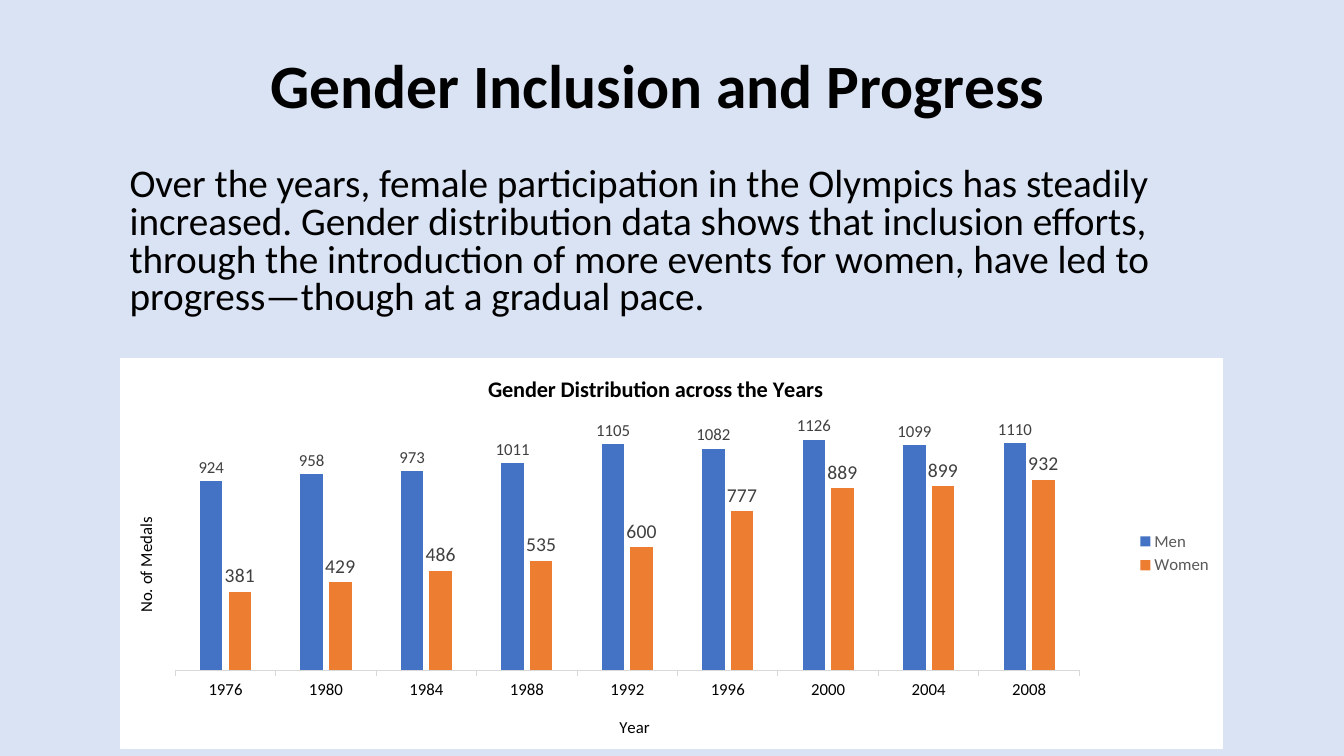
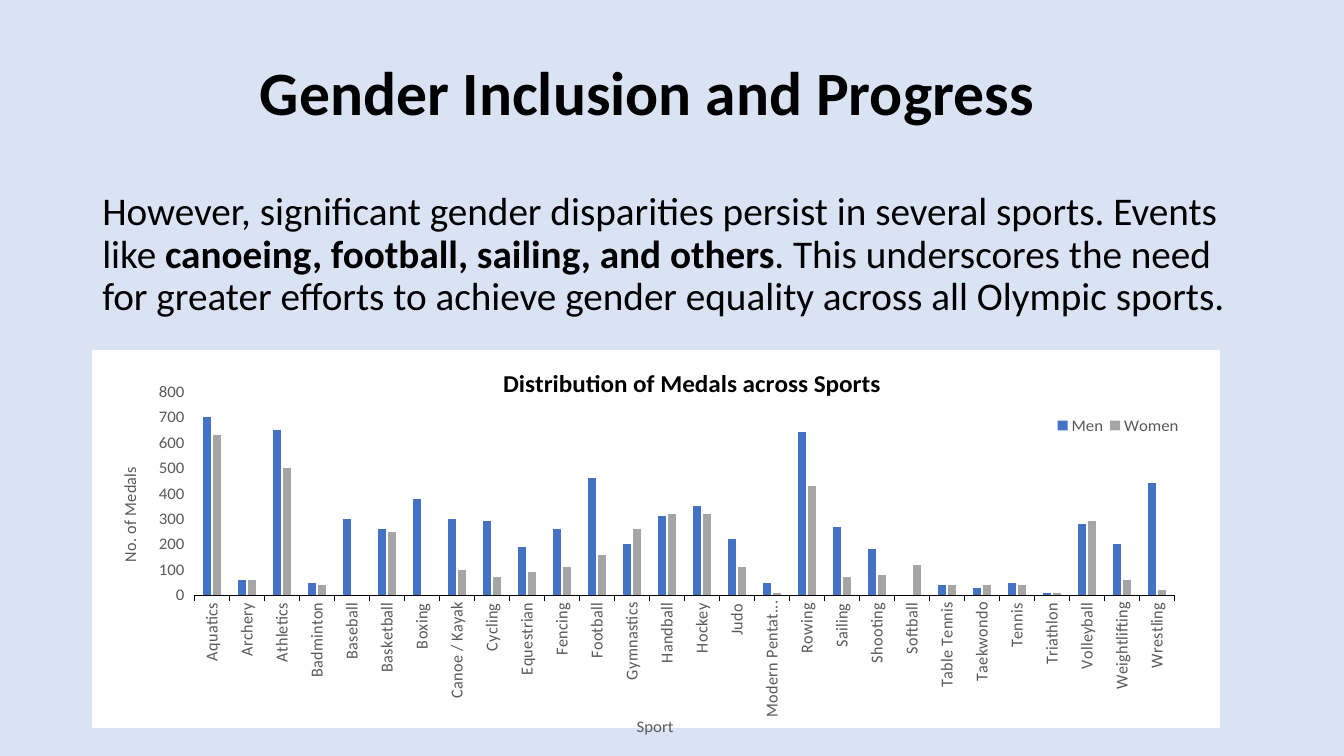
import lxml.etree
import pptx
import pptx.chart.data
import pptx.dml.color
import pptx.enum.chart
import pptx.enum.text
import pptx.oxml
import pptx.oxml.ns
import pptx.util

PX = 9525
FONT = "Calibri"
RGB = pptx.dml.color.RGBColor
PALE = RGB(0xDA, 0xE3, 0xF3)
BLACK = RGB(0, 0, 0)
GREY = RGB(0x59, 0x59, 0x59)
DARK = RGB(0x40, 0x40, 0x40)
LIGHT = RGB(0xD9, 0xD9, 0xD9)
BLUE = RGB(0x44, 0x72, 0xC4)
ORANGE = RGB(0xED, 0x7D, 0x31)
SILVER = RGB(0xA5, 0xA5, 0xA5)
Pt = pptx.util.Pt
qn = pptx.oxml.ns.qn
ENUM = pptx.enum.chart
PANEL = (
    f'<c:spPr {pptx.oxml.ns.nsdecls("c", "a")}>'
    '<a:solidFill><a:srgbClr val="FFFFFF"/></a:solidFill><a:ln w="9525">'
    '<a:solidFill><a:srgbClr val="FFFFFF"/></a:solidFill></a:ln></c:spPr>'
)
UPRIGHT = "-5400000"


def place(node, spot, index=1):
    """Give a chart part a manual layout, in fractions of the chart."""
    for old in node.findall(qn("c:layout")):
        node.remove(old)
    layout = lxml.etree.Element(qn("c:layout"))
    manual = lxml.etree.SubElement(layout, qn("c:manualLayout"))
    rules = [("xMode", "edge"), ("yMode", "edge")] + list(zip("xywh", spot))
    if node.tag == qn("c:plotArea"):
        rules.insert(0, ("layoutTarget", "inner"))
    for name, value in rules:
        lxml.etree.SubElement(manual, qn("c:" + name)).set("val", str(value))
    node.insert(index, layout)


def label(title, text, size, color, spot, bold=False):
    """Fill, style and place a chart or axis title."""
    para = title.text_frame.paragraphs[0]
    para.text = text
    para.font.name, para.font.size, para.font.bold = FONT, Pt(size), bold
    para.font.color.rgb = color
    place(title._element, spot)


# In each body text, every second part is bold.
PAGES = [
    {
        "title": (248, 15, 945, 139),
        "body": (114, 155, 1051, 167),
        "pitch": 0.8,
        "parts": [
            "Over the years, female participation in the Olympics has steadily "
            "increased. Gender distribution data shows that inclusion efforts, "
            "through the introduction of more events for women, have led to "
            "progress—though at a gradual pace."
        ],
        "chart": (114, 341, 1051, 372),
        "plot": (0.05, 0.17, 0.82, 0.63),
        "head": ("Gender Distribution across the Years", 16, BLACK, (0.33, 0.03), True),
        "x": ("Year", 12, BLACK, (0.45, 0.91)),
        "y": ("No. of Medals", 12, BLACK, (0.01, 0.4)),
        "ticks": BLACK,
        "line": LIGHT,
        "cats": [str(year) for year in range(1976, 2009, 4)],
        "men": [924, 958, 973, 1011, 1105, 1082, 1126, 1099, 1110],
        "women": [381, 429, 486, 535, 600, 777, 889, 899, 932],
        "fills": (BLUE, ORANGE),
        "sizes": (12, 14),
    },
    {
        "title": (238, 22, 954, 139),
        "body": (88, 178, 1104, 139),
        "pitch": 0.9,
        "parts": [
            "However, significant gender disparities persist in several sports. "
            "Events like ",
            "canoeing, football, sailing, and others",
            ". This underscores the need for greater efforts to achieve gender "
            "equality across all Olympic sports.",
        ],
        "chart": (88, 333, 1074, 373),
        "plot": (0.09, 0.11, 0.87, 0.54),
        "head": ("Distribution of Medals across Sports", 18, BLACK, (0.36, 0.03), True),
        "x": ("Sport", 12, GREY, (0.48, 0.96)),
        "y": ("No. of Medals", 12, GREY, (0.02, 0.31)),
        "ticks": GREY,
        "line": BLACK,
        "legend": (0.85, 0.17, 0.12, 0.06),
        "cats": [
            "Aquatics", "Archery", "Athletics", "Badminton", "Baseball",
            "Basketball", "Boxing", "Canoe / Kayak", "Cycling", "Equestrian",
            "Fencing", "Football", "Gymnastics", "Handball", "Hockey", "Judo",
            "Modern Pentathlon", "Rowing", "Sailing", "Shooting", "Softball",
            "Table Tennis", "Taekwondo", "Tennis", "Triathlon", "Volleyball",
            "Weightlifting", "Wrestling",
        ],
        "men": [
            700, 60, 650, 50, 300, 260, 380, 300, 290, 190, 260, 460, 200, 310,
            350, 220, 50, 640, 270, 180, None, 40, 30, 50, 10, 280, 200, 440,
        ],
        "women": [
            630, 60, 500, 40, None, 250, None, 100, 70, 90, 110, 160, 260, 320,
            320, 110, 10, 430, 70, 80, 120, 40, 40, 40, 10, 290, 60, 20,
        ],
        "fills": (BLUE, SILVER),
    },
]

deck = pptx.Presentation()
deck.slide_width, deck.slide_height = 1280 * PX, 720 * PX
back = deck.slide_master.background.fill
back.solid()
back.fore_color.rgb = PALE

for page in PAGES:
    slide = deck.slides.add_slide(deck.slide_layouts[6])

    texts = [
        ("title", ["Gender Inclusion and Progress"], 44, 0.9, True),
        ("body", page["parts"], 28, page["pitch"], False),
    ]
    for key, parts, size, pitch, bold in texts:
        box = slide.shapes.add_textbox(*(n * PX for n in page[key]))
        frame = box.text_frame
        frame.word_wrap = True
        if key == "title":
            frame.vertical_anchor = pptx.enum.text.MSO_ANCHOR.MIDDLE
        para = frame.paragraphs[0]
        para.line_spacing = pitch
        for i, part in enumerate(parts):
            run = para.add_run()
            run.text = part
            if i % 2:
                run.font.bold = True
        para.font.name, para.font.size, para.font.bold = FONT, Pt(size), bold
        para.font.color.rgb = BLACK

    data = pptx.chart.data.CategoryChartData()
    data.categories = page["cats"]
    data.add_series("Men", page["men"])
    data.add_series("Women", page["women"])
    chart = slide.shapes.add_chart(
        ENUM.XL_CHART_TYPE.COLUMN_CLUSTERED, *(n * PX for n in page["chart"]), data
    ).chart
    chart.font.name, chart.font.size = FONT, Pt(10)
    chart.font.color.rgb = BLACK
    root = chart._chartSpace
    root.find(qn("c:txPr")).addprevious(pptx.oxml.parse_xml(PANEL))
    place(root.find(".//" + qn("c:plotArea")), page["plot"], 0)
    label(chart.chart_title, *page["head"])

    cat, val = chart.category_axis, chart.value_axis
    for axis, key in ((cat, "x"), (val, "y")):
        label(axis.axis_title, *page[key])
        axis.has_major_gridlines = False
        font = axis.tick_labels.font
        font.name, font.size = FONT, Pt(12)
        font.color.rgb = page["ticks"]
    cat.format.line.color.rgb = page["line"]
    cat.format.line.width = Pt(0.75)
    val.format.line.fill.background()
    val.axis_title.text_frame._txBody.bodyPr.set("rot", UPRIGHT)

    chart.has_legend = True
    legend = chart.legend
    legend.position = ENUM.XL_LEGEND_POSITION.RIGHT
    legend.include_in_layout = False
    legend.font.name, legend.font.size = FONT, Pt(12)
    legend.font.color.rgb = GREY
    if "legend" in page:
        place(legend._element, page["legend"])

    plot = chart.plots[0]
    plot.gap_width, plot.overlap = 219, -27
    plot.vary_by_categories = False
    for series, fill in zip(plot.series, page["fills"]):
        series.format.fill.solid()
        series.format.fill.fore_color.rgb = fill

    if "sizes" in page:
        val.visible = False
        for series, size in zip(plot.series, page["sizes"]):
            marks = series.data_labels
            marks.show_value = True
            marks.position = ENUM.XL_LABEL_POSITION.OUTSIDE_END
            marks.font.name, marks.font.size = FONT, Pt(size)
            marks.font.color.rgb = DARK
    else:
        cat._element.find(qn("c:txPr")).find(qn("a:bodyPr")).set("rot", UPRIGHT)

deck.save("out.pptx")
